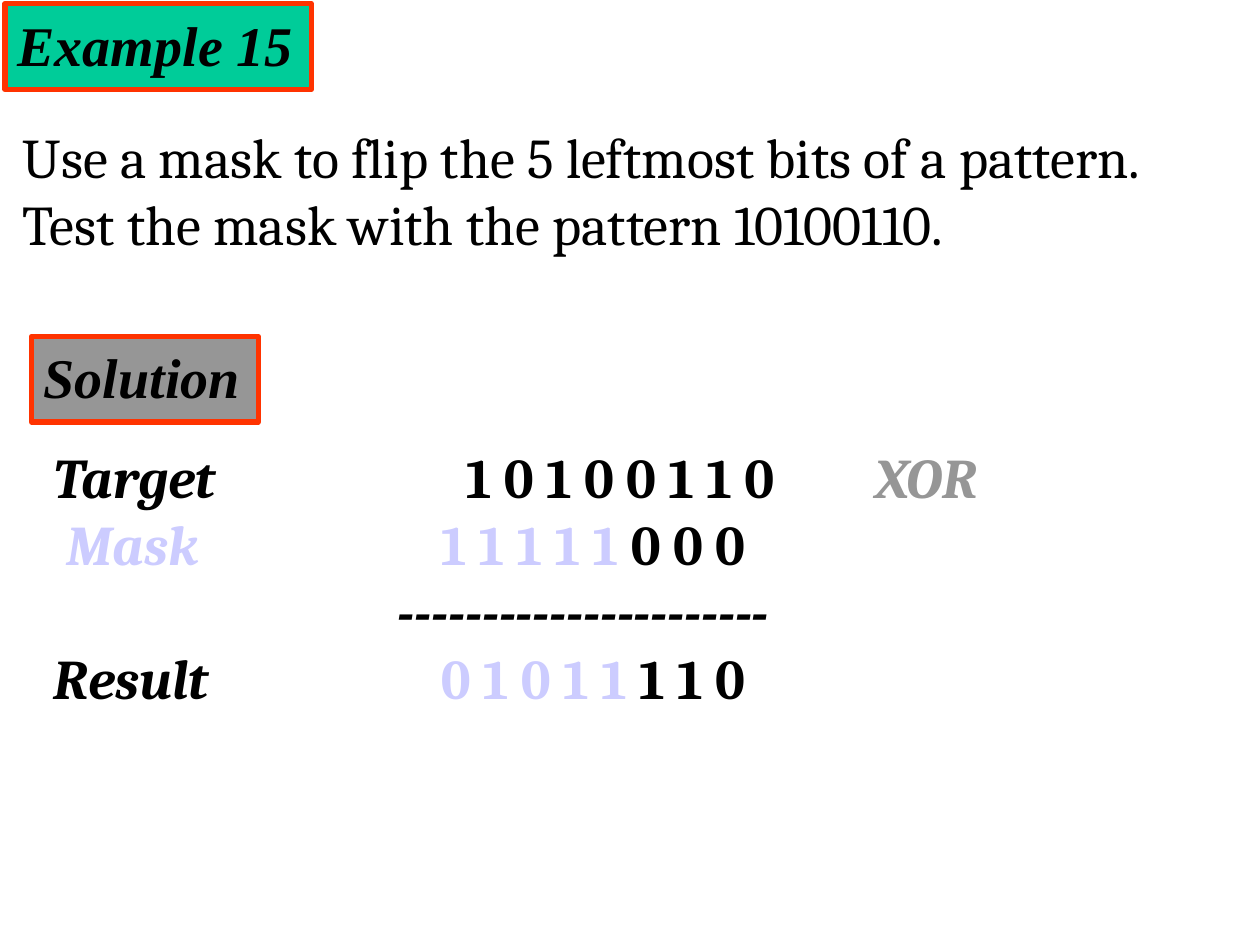
from dataclasses import dataclass

from lxml.etree import SubElement
from pptx import Presentation
from pptx.dml.color import RGBColor
from pptx.enum.shapes import MSO_SHAPE
from pptx.enum.text import MSO_ANCHOR, MSO_AUTO_SIZE, PP_ALIGN
from pptx.oxml.ns import qn
from pptx.util import Inches, Pt


@dataclass(frozen=True)
class Theme:
    ink: RGBColor = RGBColor.from_string("000000")
    example_fill: RGBColor = RGBColor.from_string("00CC99")
    border: RGBColor = RGBColor.from_string("FF3300")
    gray: RGBColor = RGBColor.from_string("969696")
    flipped: RGBColor = RGBColor.from_string("CCCCFF")
    label_font: str = "Times New Roman"
    text_font: str = "Cambria"
    size: Pt = Pt(32)
    border_width: Pt = Pt(3)


class SlideBuilder:
    def __init__(self, slide, theme):
        self.slide = slide
        self.theme = theme

    def place(self, shape, left, top, width, height):
        shape.left, shape.top = Inches(left), Inches(top)
        shape.width, shape.height = Inches(width), Inches(height)

    def frame(self, shape, wrap):
        text_frame = shape.text_frame
        text_frame.word_wrap = wrap
        text_frame.auto_size = MSO_AUTO_SIZE.NONE
        text_frame.vertical_anchor = MSO_ANCHOR.TOP
        return text_frame

    def style(self, paragraph, name, bold=False):
        paragraph.alignment = PP_ALIGN.LEFT
        paragraph.space_before = Pt(0)
        font = paragraph.font
        font.name, font.size, font.bold = name, self.theme.size, bold
        font.color.rgb = self.theme.ink

    def label(self, shape, text, fill, position):
        self.place(shape, *position)
        shape.fill.solid()
        shape.fill.fore_color.rgb = fill
        shape.line.color.rgb = self.theme.border
        shape.line.width = self.theme.border_width
        paragraph = self.frame(shape, False).paragraphs[0]
        paragraph.text = text
        self.style(paragraph, self.theme.label_font, bold=True)
        paragraph.font.italic = True

    def title(self, text, position):
        self.label(self.slide.shapes.title, text, self.theme.example_fill, position)

    def heading(self, text, position):
        shape = self.slide.shapes.add_shape(
            MSO_SHAPE.RECTANGLE, *(Inches(length) for length in position)
        )
        shape.shadow.inherit = False
        self.label(shape, text, self.theme.gray, position)

    def question(self, text, position):
        shape = self.slide.placeholders[1]
        self.place(shape, *position)
        paragraph = self.frame(shape, True).paragraphs[0]
        paragraph.text = text
        properties = paragraph._p.get_or_add_pPr()
        properties.set("marL", "0")
        properties.set("indent", "0")
        SubElement(properties, qn("a:buNone"))
        self.style(paragraph, self.theme.text_font)

    def working(self, rows, position):
        shape = self.slide.shapes.add_textbox(
            *(Inches(length) for length in position)
        )
        text_frame = self.frame(shape, True)
        for index, (stops, runs) in enumerate(rows):
            paragraph = (
                text_frame.add_paragraph() if index else text_frame.paragraphs[0]
            )
            tabs = SubElement(paragraph._p.get_or_add_pPr(), qn("a:tabLst"))
            for stop in stops:
                SubElement(tabs, qn("a:tab"), pos=str(Inches(stop)), algn="l")
            self.style(paragraph, self.theme.text_font, bold=True)
            for text, color, italic in runs:
                run = paragraph.add_run()
                run.text = text
                run.font.italic = italic
                run.font.color.rgb = color


def main():
    presentation = Presentation()
    presentation.slide_width, presentation.slide_height = Inches(10), Inches(7.5)
    slide = presentation.slides.add_slide(presentation.slide_layouts[1])
    theme = Theme()
    builder = SlideBuilder(slide, theme)

    builder.title("Example 15", (0.04, 0.03, 2.43, 0.68))
    builder.question(
        "Use a mask to flip the 5 leftmost bits of a pattern. "
        "Test the mask with the pattern 10100110.",
        (0.08, 0.92, 9.25, 1.17),
    )
    builder.heading("Solution", (0.25, 2.67, 1.8, 0.68))
    rows = [
        ([3.27, 6.52], [
            ("Target\t", theme.ink, True),
            ("1 0 1 0 0 1 1 0\t", theme.ink, False),
            ("XOR", theme.gray, True),
        ]),
        ([0.1, 3.07], [
            ("\tMask\t", theme.flipped, True),
            ("1 1 1 1 1 ", theme.flipped, False),
            ("0 0 0", theme.ink, False),
        ]),
        ([2.73], [("\t----------------------", theme.ink, True)]),
        ([3.07], [
            ("Result\t", theme.ink, True),
            ("0 1 0 1 1", theme.flipped, False),
            (" 1 1 0", theme.ink, False),
        ]),
    ]
    builder.working(rows, (0.33, 3.46, 9.17, 2.26))
    presentation.save("out.pptx")


if __name__ == "__main__":
    main()
